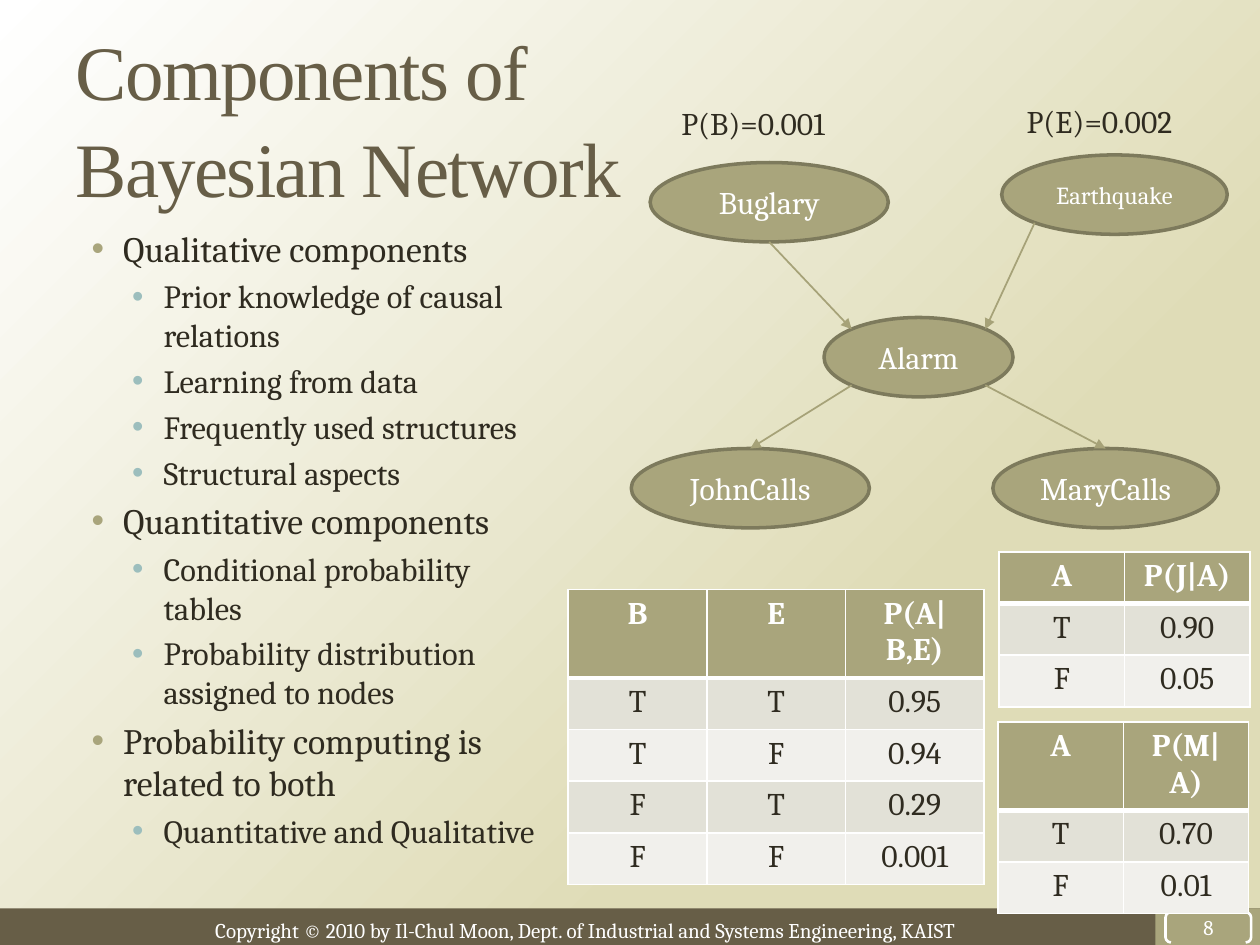
"""Build the slide on the components of a Bayesian network."""
import math

import pptx
import pptx.dml.color
import pptx.enum.dml
import pptx.enum.shapes
import pptx.enum.text
import pptx.oxml
import pptx.oxml.ns
import pptx.util

Inches = pptx.util.Inches
Pt = pptx.util.Pt
RGBColor = pptx.dml.color.RGBColor
Shape = pptx.enum.shapes.MSO_SHAPE
Align = pptx.enum.text.PP_ALIGN
Anchor = pptx.enum.text.MSO_ANCHOR
AutoSize = pptx.enum.text.MSO_AUTO_SIZE

WHITE = RGBColor(0xFF, 0xFF, 0xFF)
SAND = RGBColor(0xDF, 0xDC, 0xB7)
BROWN = RGBColor(0x67, 0x5E, 0x47)
OLIVE = RGBColor(0xA9, 0xA5, 0x7C)
OLIVE_DARK = RGBColor(0x7D, 0x7A, 0x5C)
ARROW = RGBColor(0xA6, 0xA2, 0x78)
TEAL = RGBColor(0x9C, 0xBE, 0xBD)
INK = RGBColor(0x2F, 0x2B, 0x20)
BANDS = (RGBColor(0xE2, 0xE1, 0xD7), RGBColor(0xF1, 0xF0, 0xEC))

OUTLINE = [
    (0, "Qualitative components"),
    (1, "Prior knowledge of causal relations"),
    (1, "Learning from data"),
    (1, "Frequently used structures"),
    (1, "Structural aspects"),
    (0, "Quantitative components"),
    (1, "Conditional probability tables"),
    (1, "Probability distribution assigned to nodes"),
    (0, "Probability computing is related to both"),
    (1, "Quantitative and Qualitative"),
]
LEVELS = [(20.4, 0.38, OLIVE), (18.5, 0.7, TEAL)]

NODES = {
    "Alarm": (6.54, 2.52, 1.5, 18),
    "JohnCalls": (5.01, 3.56, 1.89, 18),
    "MaryCalls": (7.88, 3.56, 1.79, 18),
    "Buglary": (5.16, 1.29, 1.89, 18),
    "Earthquake": (7.95, 1.23, 1.79, 14),
}
EDGES = [
    ("Alarm", 135, "JohnCalls", 270),
    ("Alarm", 45, "MaryCalls", 270),
    ("Earthquake", 135, "Alarm", 315),
    ("Buglary", 90, "Alarm", 225),
]
TABLES = [
    (4.51, 4.68, 3.3, ["B E P(A|B,E)", "T T 0.95", "T F 0.94", "F T 0.29", "F F 0.001"]),
    (7.93, 4.38, 1.99, ["A P(J|A)", "T 0.90", "F 0.05"]),
    (7.92, 5.73, 1.99, ["A P(M|A)", "T 0.70", "F 0.01"]),
]


def add_xml(parent, tag, body="", **attributes):
    text = "".join(f' {name}="{value}"' for name, value in attributes.items())
    namespace = pptx.oxml.ns.nsdecls("a")
    parent.append(pptx.oxml.parse_xml(f"<a:{tag} {namespace}{text}>{body}</a:{tag}>"))


def color_xml(color):
    return f'<a:srgbClr val="{color}"/>'


class SlideBuilder:
    """Hold the text style and the current slide."""

    def __init__(self, slide, font="Cambria"):
        self.slide = slide
        self.font = font

    def background(self):
        fill = self.slide.background.fill
        fill.gradient()
        fill.gradient_angle = 315
        for stop, color, position in zip(fill.gradient_stops, (WHITE, SAND), (0, 0.69)):
            stop.color.rgb = color
            stop.position = position

    def text_run(self, paragraph, text, size, color, bold=False, font=None):
        run = paragraph.add_run()
        run.text = text
        run.font.name = font or self.font
        run.font.size = Pt(size)
        run.font.bold = bold
        run.font.color.rgb = color
        return run

    def title(self, text, left, top, width, height):
        shape = self.slide.shapes.title
        shape.left, shape.top = Inches(left), Inches(top)
        shape.width, shape.height = Inches(width), Inches(height)
        frame = shape.text_frame
        frame.word_wrap = True
        frame.auto_size = AutoSize.NONE
        frame.vertical_anchor = Anchor.MIDDLE
        paragraph = frame.paragraphs[0]
        paragraph.alignment = Align.LEFT
        paragraph.line_spacing = 1.05
        run = self.text_run(paragraph, text, 44, BROWN, font="Times New Roman")
        run.font._element.set("spc", "-100")

    def shape(self, kind, left, top, width, height, fill=None, line=None, weight=0):
        shape = self.slide.shapes.add_shape(
            kind, Inches(left), Inches(top), Inches(width), Inches(height))
        shape.shadow.inherit = False
        if fill is None:
            shape.fill.background()
        else:
            shape.fill.solid()
            shape.fill.fore_color.rgb = fill
        if line is None:
            shape.line.fill.background()
        else:
            shape.line.color.rgb = line
            shape.line.width = Pt(weight)
        return shape

    def centre_text(self, shape, text, size):
        shape.text_frame.vertical_anchor = Anchor.MIDDLE
        paragraph = shape.text_frame.paragraphs[0]
        paragraph.alignment = Align.CENTER
        self.text_run(paragraph, text, size, WHITE)

    def node(self, name, left, top, width, size):
        shape = self.shape(Shape.OVAL, left, top, width, 0.63, OLIVE, OLIVE_DARK, 2)
        self.centre_text(shape, name, size)
        return shape

    def page_number(self, text):
        shape = self.shape(Shape.DOUBLE_BRACKET, 9.25, 7.24, 0.68, 0.24, line=WHITE, weight=1.5)
        shape.adjustments[0] = 0.18
        frame = shape.text_frame
        frame.margin_left = frame.margin_right = frame.margin_top = frame.margin_bottom = 0
        self.centre_text(shape, text, 12)

    def label(self, text, left, top, width, height, size, color):
        box = self.slide.shapes.add_textbox(
            Inches(left), Inches(top), Inches(width), Inches(height))
        box.text_frame.word_wrap = False
        box.text_frame.auto_size = AutoSize.SHAPE_TO_FIT_TEXT
        self.text_run(box.text_frame.paragraphs[0], text, size, color)

    def outline(self, items, left, top, width, height):
        frame = self.slide.shapes.add_textbox(
            Inches(left), Inches(top), Inches(width), Inches(height)).text_frame
        frame.word_wrap = True
        for index, (level, text) in enumerate(items):
            paragraph = frame.add_paragraph() if index else frame.paragraphs[0]
            size, indent, bullet = LEVELS[level]
            paragraph.level = level
            paragraph.space_before = Pt(4)
            properties = paragraph._p.get_or_add_pPr()
            properties.set("marL", str(int(Inches(indent))))
            properties.set("indent", str(int(Inches(-0.25))))
            add_xml(properties, "buClr", color_xml(bullet))
            add_xml(properties, "buFont", typeface="Arial")
            add_xml(properties, "buChar", char="•")
            self.text_run(paragraph, text, size, INK)

    def rim(self, node, degrees):
        angle = math.radians(degrees)
        return (int(node.left + node.width * (1 + math.cos(angle)) / 2),
                int(node.top + node.height * (1 + math.sin(angle)) / 2))

    def arrow(self, source, source_angle, target, target_angle):
        connector = self.slide.shapes.add_connector(
            pptx.enum.shapes.MSO_CONNECTOR.STRAIGHT,
            *self.rim(source, source_angle), *self.rim(target, target_angle))
        if target_angle == 270:
            connector.end_connect(target, 0)
        connector.line.color.rgb = ARROW
        connector.line.width = Pt(1)
        add_xml(connector.line._get_or_add_ln(), "tailEnd", type="triangle")
        add_xml(connector._element.spPr, "effectLst")

    def table(self, left, top, width, lines):
        rows = [line.split() for line in lines]
        table = self.slide.shapes.add_table(
            len(rows), len(rows[0]), Inches(left), Inches(top),
            Inches(width), Inches(0.41 * len(rows))).table
        for row, values in enumerate(rows):
            for column, value in enumerate(values):
                cell = table.cell(row, column)
                header = row == 0
                paragraph = cell.text_frame.paragraphs[0]
                paragraph.alignment = Align.CENTER
                self.text_run(paragraph, value, 18, WHITE if header else INK, header)
                properties = cell._tc.get_or_add_tcPr()
                for side in "LRTB":
                    thick = (row, side) in ((0, "B"), (1, "T"))
                    add_xml(properties, f"ln{side}",
                            f"<a:solidFill>{color_xml(WHITE)}</a:solidFill>",
                            w=int(Pt(3 if thick else 1)))
                cell.fill.solid()
                cell.fill.fore_color.rgb = OLIVE if header else BANDS[(row - 1) % 2]


def main():
    presentation = pptx.Presentation()
    presentation.slide_width, presentation.slide_height = Inches(10), Inches(7.5)
    builder = SlideBuilder(presentation.slides.add_slide(presentation.slide_layouts[5]))
    builder.background()
    builder.shape(Shape.RECTANGLE, 0, 7.21, 10, 0.29, BROWN)
    builder.shape(Shape.RECTANGLE, 9.17, 7.21, 0.83, 0.29, OLIVE)
    builder.label("Copyright © 2010 by Il-Chul Moon, Dept. of Industrial and Systems "
                  "Engineering, KAIST", 1.61, 7.23, 6.41, 0.3, 12, WHITE)
    builder.title("Components of Bayesian Network", 0.5, 0.3, 4.66, 1.24)
    builder.outline(OUTLINE, 0.5, 1.75, 3.87, 5.46)
    builder.page_number("8")
    nodes = {name: builder.node(name, *place) for name, place in NODES.items()}
    for source, source_angle, target, target_angle in EDGES:
        builder.arrow(nodes[source], source_angle, nodes[target], target_angle)
    builder.label("P(B)=0.001", 5.31, 0.78, 1.45, 0.4, 18, INK)
    builder.label("P(E)=0.002", 8.05, 0.76, 1.45, 0.4, 18, INK)
    for table in TABLES:
        builder.table(*table)
    presentation.save("out.pptx")


if __name__ == "__main__":
    main()
